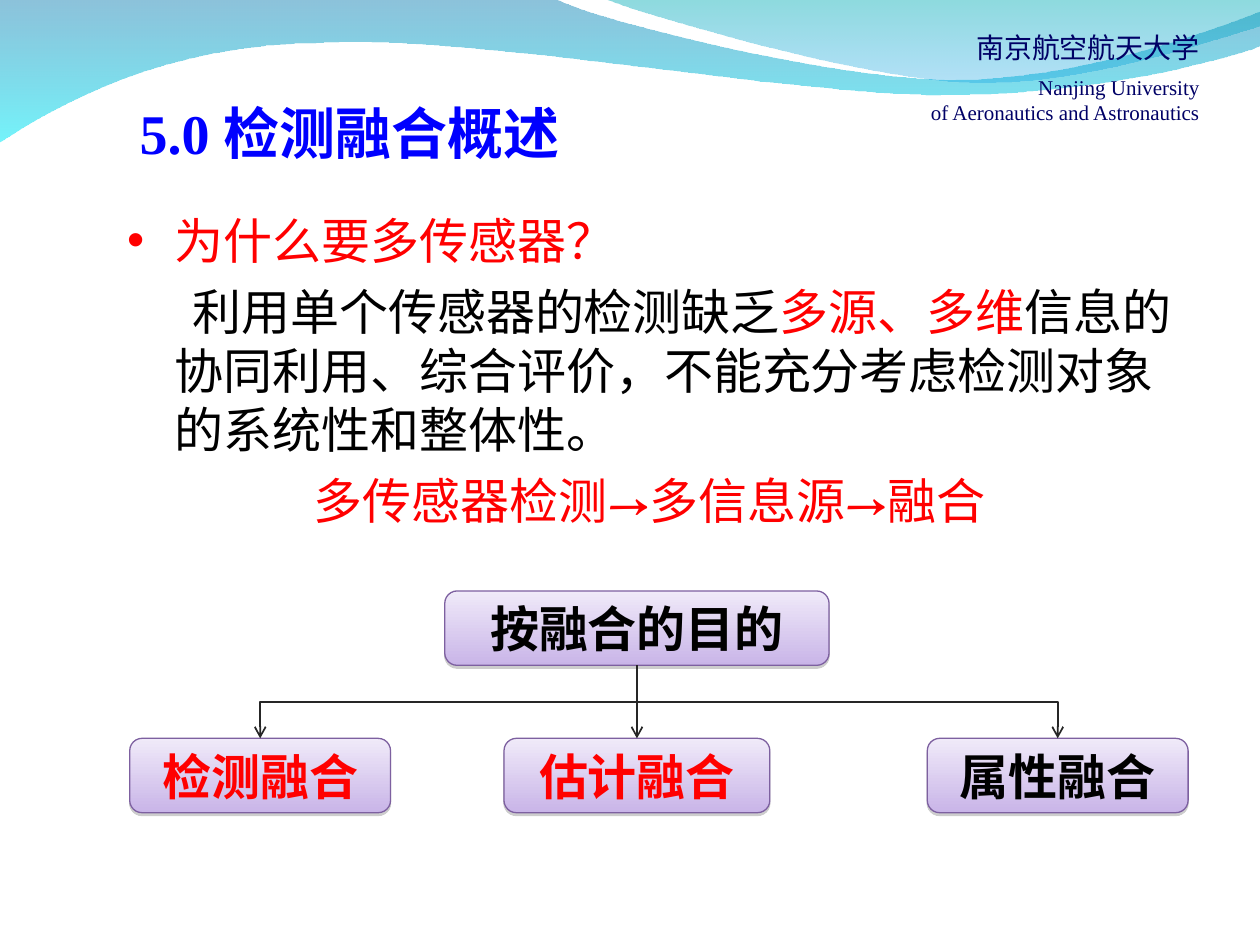
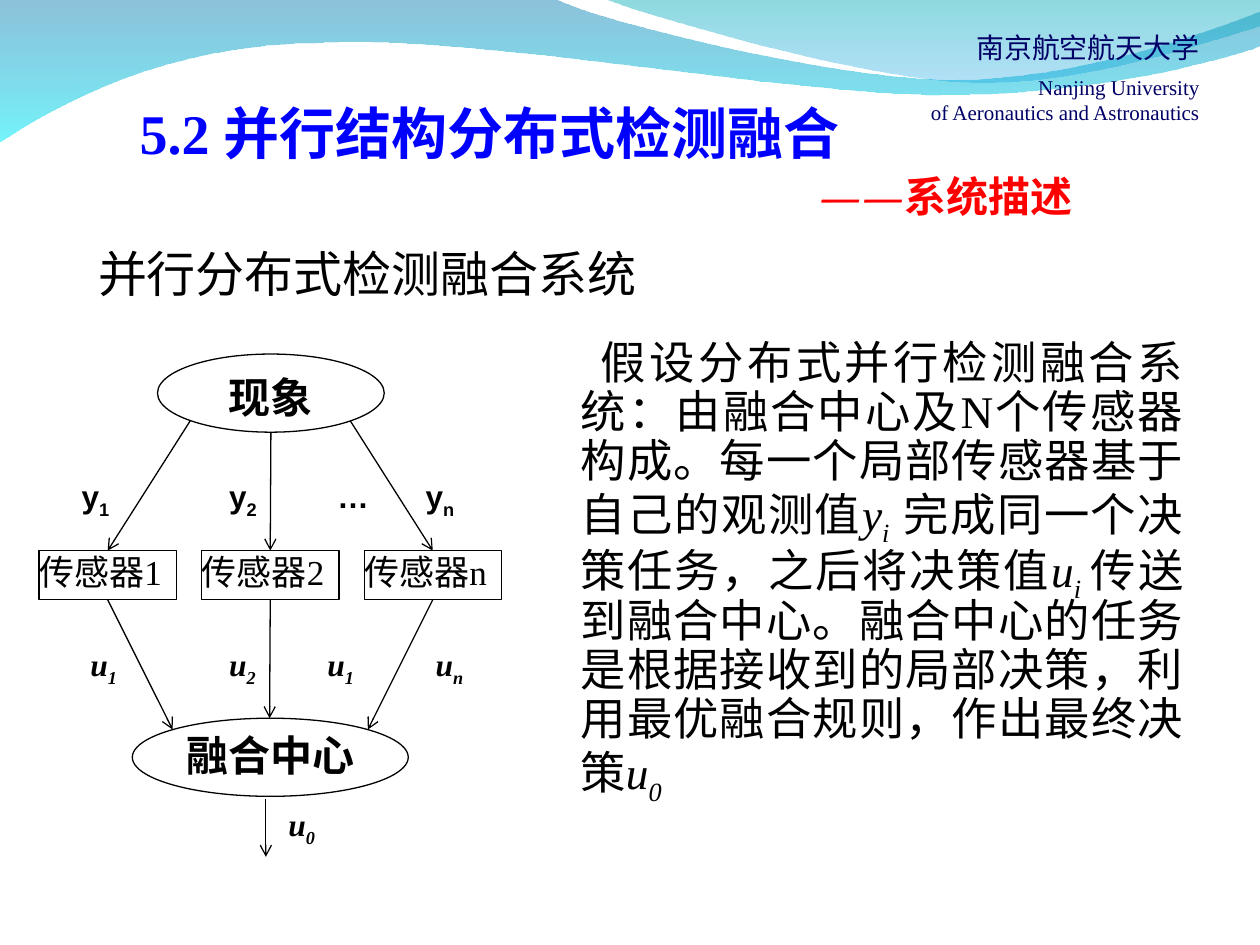
from dataclasses import dataclass, field
from typing import NamedTuple

from lxml.etree import SubElement
from pptx import Presentation
from pptx.dml.color import RGBColor
from pptx.enum.lang import MSO_LANGUAGE_ID
from pptx.enum.shapes import MSO_CONNECTOR, MSO_SHAPE
from pptx.enum.text import MSO_ANCHOR, PP_ALIGN
from pptx.oxml.ns import qn
from pptx.util import Inches, Pt

BLACK = RGBColor(0x00, 0x00, 0x00)
RED = RGBColor(0xFF, 0x00, 0x00)
TITLE_BLUE = RGBColor(0x00, 0x00, 0xFF)
SCHOOL_NAVY = RGBColor(0x00, 0x00, 0x66)
BRANCH_GRAY = RGBColor(0x26, 0x26, 0x26)
CARD_EDGE = RGBColor(0x7D, 0x60, 0xA0)
CARD_TOP = RGBColor(0xF0, 0xEA, 0xF9)
CARD_BOTTOM = RGBColor(0xC9, 0xB5, 0xE8)
CARD_SHADOW = RGBColor(0x80, 0x80, 0x80)
WAVE_DEEP = RGBColor(0x00, 0x79, 0xAF)
WAVE_CYAN = RGBColor(0x00, 0xEB, 0xF8)
WAVE_TEAL = RGBColor(0x00, 0xAD, 0xB6)
WAVE_SKY = RGBColor(0x00, 0x9B, 0xE5)

SERIF = "Times New Roman"
SANS = "Arial"
HAN = "Noto Sans CJK SC"
EAST_ASIAN = "Vollkorn"


@dataclass
class Piece:
    text: str
    style: dict = field(default_factory=dict)


@dataclass
class Para:
    pieces: list[Piece]
    align: PP_ALIGN = PP_ALIGN.LEFT
    left: float = 0
    first: float = 0
    before: float = 0
    after: float = 0
    spacing: float = 1.0
    bullet: RGBColor | None = None


class Stop(NamedTuple):
    color: RGBColor
    opacity: int = 100


class Wave(NamedTuple):
    start: tuple
    segments: list
    stops: list


class Card(NamedTuple):
    text: str
    left: float
    top: float
    width: float
    color: RGBColor


class Label(NamedTuple):
    letter: str
    index: str
    left: float
    top: float


WAVES = [
    Wave((0, -0.01), [
        [(4.4, -0.01)],
        [(4.76, 0.17), (6.64, 0.63), (7.58, 0.63)],
        [(8.53, 0.63), (9.58, 0.26), (10, 0.09)],
        [(10.01, 0.36)],
        [(9.83, 0.44), (8.7, 0.76), (7.46, 0.75)],
        [(6.22, 0.75), (3.82, 0.28), (2.57, 0.34)],
        [(1.29, 0.35), (0.46, 0.83), (-0.01, 1.13)],
    ], [Stop(WAVE_DEEP, 45), Stop(WAVE_CYAN, 55)]),
    Wave((4.79, -0.01), [
        [(5.09, 0.11), (6.82, 0.62), (7.69, 0.65)],
        [(8.56, 0.69), (9.61, 0.32), (10, 0.21)],
        [(10, 0)],
    ], [Stop(WAVE_TEAL, 45), Stop(WAVE_SKY, 30)]),
]

PURPOSE = Card("按融合的目的", 3.53, 4.69, 3.05, BLACK)
KINDS = [
    Card("检测融合", 1.03, 5.86, 2.07, RED),
    Card("估计融合", 4.0, 5.86, 2.11, RED),
    Card("属性融合", 7.36, 5.86, 2.07, BLACK),
]
CARD_HEIGHT = 0.59

OBSERVATIONS = [Label("y", "1", 0.55, 3.74), Label("y", "2", 1.72, 3.74),
                Label("…", "", 2.58, 3.74), Label("y", "n", 3.28, 3.74)]
DECISIONS = [Label("u", "1", 0.62, 5.07), Label("u", "2", 1.72, 5.07),
             Label("u", "1", 2.5, 5.07), Label("u", "n", 3.36, 5.07),
             Label("u", "0", 2.19, 6.34)]

SENSOR_LEFT, SENSOR_STEP, SENSOR_WIDTH = 0.31, 1.29, 1.09
SENSOR_TOP, SENSOR_HEIGHT = 4.37, 0.39
PHENOMENON_EXITS = [(1.51, 3.34), (2.15, 3.43), (2.78, 3.34)]
CENTER_ENTRIES = [(1.37, 5.79), (2.14, 5.7), (2.92, 5.79)]


def box(left: float, top: float, width: float, height: float) -> list:
    return [Inches(value) for value in (left, top, width, height)]


def write(shape, paras: list[Para], *, size: float, font: str = SERIF,
          color: RGBColor = BLACK, bold: bool = False, italic: bool = False,
          wrap: bool = True, inset: bool = True, anchor=MSO_ANCHOR.TOP):
    frame = shape.text_frame
    frame.word_wrap = wrap
    frame.vertical_anchor = anchor
    frame.margin_left = frame.margin_right = Inches(0.1 if inset else 0)
    frame.margin_top = frame.margin_bottom = Inches(0.05 if inset else 0)
    base = dict(size=size, font=font, color=color, bold=bold, italic=italic, sub=False)
    for number, para in enumerate(paras):
        paragraph = frame.add_paragraph() if number else frame.paragraphs[0]
        properties = paragraph._p.get_or_add_pPr()
        properties.set("marL", str(Inches(para.left)))
        properties.set("indent", str(Inches(para.first)))
        if para.bullet is not None:
            add_color(SubElement(properties, qn("a:buClr")), Stop(para.bullet))
            SubElement(properties, qn("a:buFont"), typeface=SANS)
            SubElement(properties, qn("a:buChar"), char="•")
        paragraph.alignment = para.align
        paragraph.line_spacing = para.spacing
        paragraph.space_before = Pt(para.before)
        paragraph.space_after = Pt(para.after)
        for piece in para.pieces:
            style = base | piece.style
            run = paragraph.add_run()
            run.text = piece.text
            run.font.size = Pt(style["size"])
            run.font.bold = style["bold"]
            run.font.italic = style["italic"]
            run.font.color.rgb = style["color"]
            run.font.name = style["font"]
            run.font.language_id = MSO_LANGUAGE_ID.SIMPLIFIED_CHINESE
            run_properties = run._r.get_or_add_rPr()
            SubElement(run_properties, qn("a:ea"), typeface=EAST_ASIAN)
            if style["sub"]:
                run_properties.set("baseline", "-25000")


def add_color(parent, stop: Stop):
    color = SubElement(parent, qn("a:srgbClr"), val=str(stop.color))
    if stop.opacity < 100:
        SubElement(color, qn("a:alpha"), val=str(stop.opacity * 1000))


def fill_downward(shape, stops: list[Stop]):
    shape.fill.gradient()
    gradient = shape.element.spPr.find(qn("a:gradFill"))
    for child in list(gradient):
        gradient.remove(child)
    stop_list = SubElement(gradient, qn("a:gsLst"))
    for number, stop in enumerate(stops):
        position = str(100000 * number // (len(stops) - 1))
        add_color(SubElement(stop_list, qn("a:gs"), pos=position), stop)
    SubElement(gradient, qn("a:lin"), ang="5400000", scaled="0")


def bend_segments(shape, segments: list):
    sides = shape.element.iter(qn("a:lnTo"))
    for segment, group in [(s, [next(sides_left) for _ in s])
                           for sides_left in [iter(list(sides))] for s in segments]:
        if len(segment) == 3:
            outline = group[0].getparent()
            curve = SubElement(outline, qn("a:cubicBezTo"))
            outline.insert(outline.index(group[0]), curve)
            for side in group:
                curve.append(side[0])
                outline.remove(side)


def draw_wave(slide, wave: Wave):
    points = [wave.start] + [point for segment in wave.segments for point in segment]
    corners = [(Inches(x), Inches(y)) for x, y in points]
    builder = slide.shapes.build_freeform(*corners[0])
    builder.add_line_segments(corners[1:], close=True)
    shape = builder.convert_to_shape()
    bend_segments(shape, wave.segments)
    shape.shadow.inherit = False
    shape.line.fill.background()
    fill_downward(shape, wave.stops)


def start_slide(deck, title: str, subtitle: str = ""):
    slide = deck.slides.add_slide(deck.slide_layouts[6])
    for wave in WAVES:
        draw_wave(slide, wave)
    small = {"size": 12}
    write(slide.shapes.add_textbox(*box(7.27, 0.19, 2.35, 0.85)), [
        Para([Piece("南京航空航天大学")], PP_ALIGN.RIGHT, after=6),
        Para([Piece("Nanjing University", small)], PP_ALIGN.RIGHT),
        Para([Piece("of Aeronautics and Astronautics", small)], PP_ALIGN.RIGHT),
    ], size=16, color=SCHOOL_NAVY, wrap=False)
    heading = [Para([Piece(title)], spacing=1.1)]
    if subtitle:
        heading.append(Para([Piece(subtitle, {"size": 24, "color": RED})],
                            left=5.39, spacing=1.1))
    write(slide.shapes.add_textbox(*box(1.01, 0.68, 8.43, 1.13 if subtitle else 0.69)),
          heading, size=32, color=TITLE_BLUE, bold=True)
    return slide


def draw_card(slide, card: Card):
    shape = slide.shapes.add_shape(MSO_SHAPE.ROUNDED_RECTANGLE,
                                   *box(card.left, card.top, card.width, CARD_HEIGHT))
    shape.shadow.inherit = False
    fill_downward(shape, [Stop(CARD_TOP), Stop(CARD_BOTTOM)])
    shape.line.color.rgb = CARD_EDGE
    shape.line.width = Pt(0.75)
    effects = shape.element.spPr.find(qn("a:effectLst"))
    shadow = SubElement(effects, qn("a:outerShdw"), blurRad="0", dist=str(Pt(1.6)),
                        dir="5400000", rotWithShape="0")
    add_color(shadow, Stop(CARD_SHADOW, 38))
    write(shape, [Para([Piece(card.text)], PP_ALIGN.CENTER)], size=28,
          color=card.color, bold=True, wrap=False, anchor=MSO_ANCHOR.MIDDLE)


def draw_arrow(slide, start: tuple, end: tuple, kind=MSO_CONNECTOR.STRAIGHT,
               color: RGBColor = BLACK, width: float = 0.75):
    arrow = slide.shapes.add_connector(kind, *box(*start, *end))
    arrow.line.color.rgb = color
    arrow.line.width = Pt(width)
    SubElement(arrow.line._get_or_add_ln(), qn("a:tailEnd"), type="arrow")
    SubElement(arrow.element.spPr, qn("a:effectLst"))
    return arrow


def draw_branch(slide, start: tuple, end: tuple):
    middle_x, middle_y = (start[0] + end[0]) / 2, (start[1] + end[1]) / 2
    rightward = end[0] > start[0]
    reach = (end[1] - start[1]) / 2 * (-1 if rightward else 1)
    spread = abs(end[0] - start[0]) / 2
    branch = draw_arrow(slide, (middle_x - reach, middle_y - spread),
                        (middle_x + reach, middle_y + spread),
                        MSO_CONNECTOR.ELBOW, BRANCH_GRAY, 1)
    turn = 270 if rightward else 90
    branch.element.spPr.find(qn("a:xfrm")).set("rot", str(turn * 60000))


def draw_node(slide, kind, place: list, pieces: list[Piece], **style):
    node = slide.shapes.add_shape(kind, *place)
    node.shadow.inherit = False
    node.fill.background()
    node.line.color.rgb = BLACK
    node.line.width = Pt(0.75)
    align = PP_ALIGN.CENTER if kind == MSO_SHAPE.OVAL else PP_ALIGN.LEFT
    write(node, [Para(pieces, align)], font=SANS, **style)


def draw_label(slide, label: Label, **style):
    pieces = [Piece(label.letter)]
    if label.index:
        pieces.append(Piece(label.index, {"sub": True}))
    write(slide.shapes.add_textbox(*box(label.left, label.top, 0.47, 0.44)),
          [Para(pieces)], size=18, bold=True, **style)


def build_overview(deck):
    slide = start_slide(deck, "5.0 检测融合概述")
    red, arrow = {"color": RED}, {"color": RED, "font": SANS}
    write(slide.shapes.add_textbox(*box(0.91, 1.62, 8.49, 4.68)), [
        Para([Piece("为什么要多传感器？", red)], left=0.38, first=-0.38, bullet=RED),
        Para([Piece("利用单个传感器的检测缺乏"), Piece("多源、多维", red),
              Piece("信息的协同利用、综合评价，不能充分考虑检测对象的系统性和整体性。")],
             left=0.38, first=0.14, before=7),
        Para([Piece("多传感器检测", red), Piece("→", arrow), Piece("多信息源", red),
              Piece("→", arrow), Piece("融合", red)],
             PP_ALIGN.CENTER, left=0.38, first=-0.38, before=7),
    ], size=28, font=HAN)
    root = (PURPOSE.left + PURPOSE.width / 2, PURPOSE.top + CARD_HEIGHT)
    for card in [PURPOSE, *KINDS]:
        draw_card(slide, card)
    for card in KINDS:
        draw_branch(slide, root, (card.left + card.width / 2, card.top))


def build_parallel_system(deck):
    slide = start_slide(deck, "5.2 并行结构分布式检测融合", "——系统描述")
    draw_node(slide, MSO_SHAPE.OVAL, box(1.25, 2.81, 1.8, 0.62),
              [Piece("现象")], size=24, bold=True)
    draw_node(slide, MSO_SHAPE.OVAL, box(1.05, 5.7, 2.19, 0.62),
              [Piece("融合中心")], size=24, bold=True, inset=False)
    for column, name in enumerate("12n"):
        left = SENSOR_LEFT + column * SENSOR_STEP
        center = left + SENSOR_WIDTH / 2
        draw_node(slide, MSO_SHAPE.RECTANGLE,
                  box(left, SENSOR_TOP, SENSOR_WIDTH, SENSOR_HEIGHT),
                  [Piece("传感器"), Piece(name, {"font": SERIF})], size=20, inset=False)
        draw_arrow(slide, PHENOMENON_EXITS[column], (center, SENSOR_TOP))
        draw_arrow(slide, (center, SENSOR_TOP + SENSOR_HEIGHT), CENTER_ENTRIES[column])
    draw_arrow(slide, (2.11, 6.34), (2.11, 6.8))
    for label in OBSERVATIONS:
        draw_label(slide, label, font=SANS)
    for label in DECISIONS:
        draw_label(slide, label, italic=True)
    symbol, index = {"italic": True}, {"italic": True, "sub": True}
    write(slide.shapes.add_textbox(*box(4.21, 2.65, 5.28, 4.45)), [Para([
        Piece("假设分布式并行检测融合系统：由融合中心及N个传感器构成。"
              "每一个局部传感器基于自己的观测值"),
        Piece("y", symbol), Piece("i", index), Piece(" ", symbol),
        Piece("完成同一个决策任务，之后将决策值"),
        Piece("u", symbol), Piece("i ", index),
        Piece("传送到融合中心。融合中心的任务是根据接收到的局部决策，"
              "利用最优融合规则，作出最终决策"),
        Piece("u", symbol), Piece("0", index),
    ], PP_ALIGN.JUSTIFY, left=0.3, first=0.16, spacing=0.9)], size=25.9)
    write(slide.shapes.add_textbox(*box(0.68, 1.88, 4.47, 0.57)),
          [Para([Piece("并行分布式检测融合系统")])], size=28, font=HAN, wrap=False)


def main():
    deck = Presentation()
    deck.slide_width, deck.slide_height = Inches(10), Inches(7.5)
    build_overview(deck)
    build_parallel_system(deck)
    deck.save("out.pptx")


if __name__ == "__main__":
    main()
